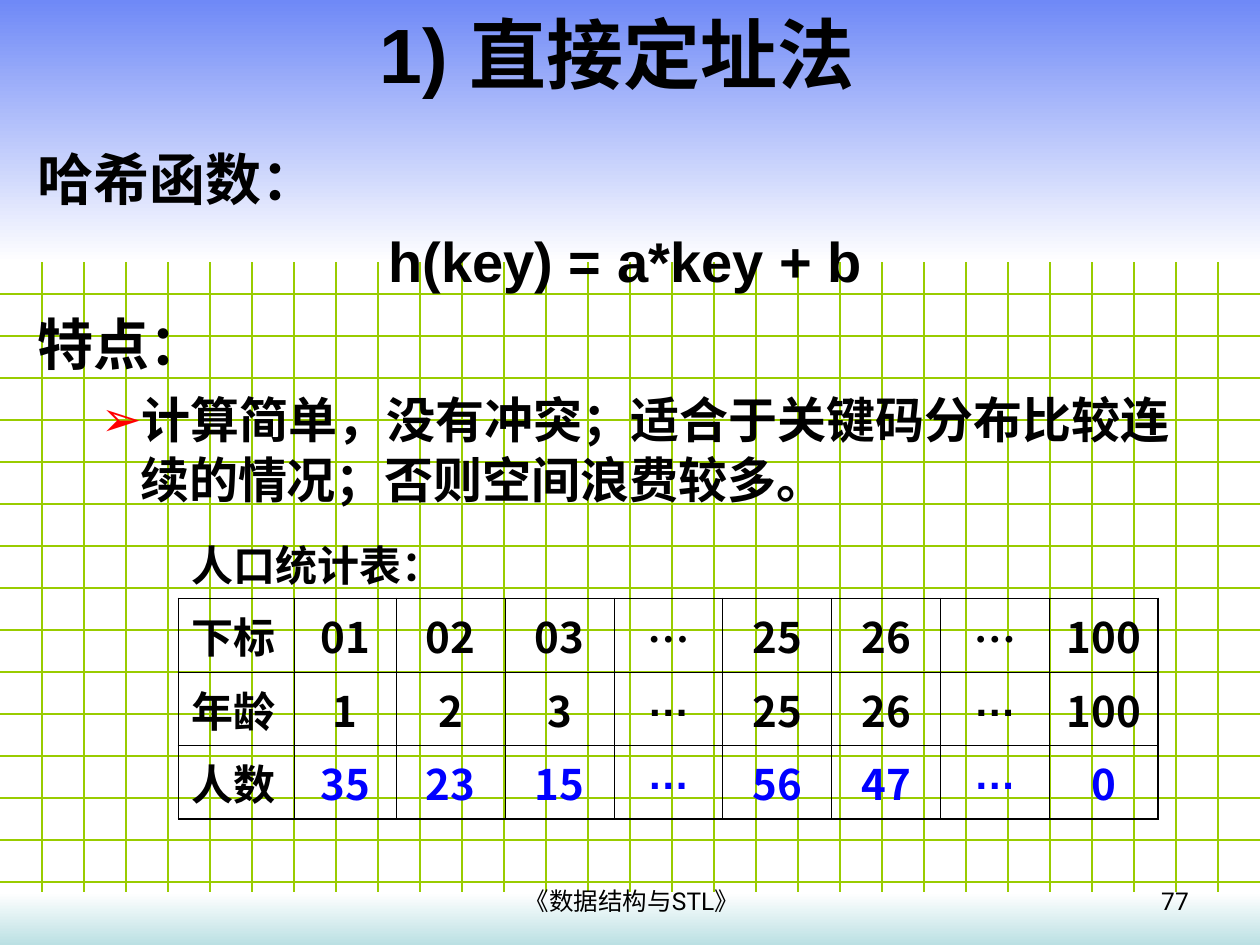
import pptx
import pptx.dml.color
import pptx.enum.shapes
import pptx.enum.text
import pptx.oxml
import pptx.oxml.ns
import pptx.util
from dataclasses import dataclass

Pt = pptx.util.Pt
RGB = pptx.dml.color.RGBColor.from_string
ALIGN = pptx.enum.text.PP_ALIGN
ANCHOR = pptx.enum.text.MSO_ANCHOR
STRAIGHT = pptx.enum.shapes.MSO_CONNECTOR.STRAIGHT


@dataclass(frozen=True)
class Theme:
    ink: str = "000000"
    count: str = "0000FF"
    bullet: str = "FF0000"
    grid: str = "99CC00"
    sky: str = "6F89F7"
    paper: str = "FFFFFF"
    pool: str = "BBE0E3"
    latin: str = "Arial"
    chinese: str = "Noto Sans CJK SC"
    footer: str = "Roboto"
    serif: str = "Times New Roman"
    title_size: int = 44
    heading_size: int = 32
    point_size: int = 28
    table_size: int = 24
    footer_size: int = 14


theme = Theme()


def add_element(parent, xml):
    """Append a drawing element, written without its namespace declaration."""
    name, rest = xml[1:].split(" ", 1)
    namespace = pptx.oxml.ns.nsdecls("a")
    parent.append(pptx.oxml.parse_xml(f"<a:{name} {namespace} {rest}"))


def add_text(paragraph, text, size, font, bold=True, color=theme.ink):
    run = paragraph.add_run()
    run.text = text
    run.font.size = Pt(size)
    run.font.bold = bold
    run.font.color.rgb = RGB(color)
    run.font.name = font
    add_element(run._r.get_or_add_rPr(), f'<ea typeface="{theme.chinese}"/>')


presentation = pptx.Presentation()
presentation.slide_width = Pt(720)
presentation.slide_height = Pt(540)
slide = presentation.slides.add_slide(presentation.slide_layouts[1])
shapes = slide.shapes

# Background grid
step = 24
ends = [(0, y, 720, y) for y in range(step, 540, step)]
ends += [(x, 0, x, 540) for x in range(step, 720, step)]
grid = shapes.add_group_shape()
for points in ends:
    line = grid.shapes.add_connector(STRAIGHT, *[Pt(value) for value in points])
    line.line.color.rgb = RGB(theme.grid)
    line.line.width = Pt(0.75)
    add_element(line._element.spPr, "<effectLst />")

# Gradient bands at top and bottom
for top, height, colors in [(0, 150, (theme.sky, theme.paper)),
                            (510, 30, (theme.paper, theme.pool))]:
    band = shapes.add_shape(pptx.enum.shapes.MSO_SHAPE.RECTANGLE,
                            0, Pt(top), Pt(720), Pt(height))
    band.shadow.inherit = False
    band.line.fill.background()
    band.fill.gradient()
    band.fill.gradient_angle = 270
    for stop, color in zip(band.fill.gradient_stops, colors):
        stop.color.rgb = RGB(color)

# Title and body, placed in front of the background
title, body = shapes.title, slide.placeholders[1]
for placeholder, box, anchor in [(title, (0, 0, 705.6, 60.5), ANCHOR.MIDDLE),
                                 (body, (14.4, 78.5, 686, 418.3), ANCHOR.TOP)]:
    shapes._spTree.append(placeholder._element)
    placeholder.left, placeholder.top, placeholder.width, placeholder.height = map(Pt, box)
    placeholder.text_frame.auto_size = pptx.enum.text.MSO_AUTO_SIZE.NONE
    placeholder.text_frame.word_wrap = True
    placeholder.text_frame.vertical_anchor = anchor

paragraph = title.text_frame.paragraphs[0]
paragraph.alignment = ALIGN.CENTER
add_text(paragraph, "1) 直接定址法", theme.title_size, theme.latin)

body_lines = [
    ("哈希函数：", 0, ALIGN.LEFT),
    ("h(key) = a*key + b", 0, ALIGN.CENTER),
    ("特点：", 0, ALIGN.LEFT),
    ("计算简单，没有冲突；适合于关键码分布比较连续的情况；否则空间浪费较多。", 1, ALIGN.LEFT),
]
# By level: size, line height, space before, left margin, hanging indent
levels = [(theme.heading_size, 39, 8, 27, 27), (theme.point_size, 34.3, 7, 58.5, 22.5)]
for index, (text, level, alignment) in enumerate(body_lines):
    frame = body.text_frame
    paragraph = frame.add_paragraph() if index else frame.paragraphs[0]
    size, line_height, before, margin, hanging = levels[level]
    paragraph.level = level
    paragraph.alignment = alignment
    paragraph.line_spacing = Pt(line_height)
    paragraph.space_before = Pt(before if index else 0)
    properties = paragraph._p.get_or_add_pPr()
    properties.set("marL", str(Pt(margin)))
    properties.set("indent", str(-Pt(hanging)))
    if level:
        add_element(properties, f'<buClr ><a:srgbClr val="{theme.bullet}"/></a:buClr>')
        add_element(properties, '<buChar char="➢"/>')
    else:
        add_element(properties, "<buNone />")
    add_text(paragraph, text, size, theme.latin)

# Population table
rows = [
    ["下标", "01", "02", "03", "…", "25", "26", "…", "100"],
    ["年龄", "1", "2", "3", "…", "25", "26", "…", "100"],
    ["人数", "35", "23", "15", "…", "56", "47", "…", "0"],
]
widths = [66.2, 58.3] + [62.2] * 7
row_height = 42
table = shapes.add_table(len(rows), len(widths), Pt(102), Pt(342), Pt(sum(widths)),
                         Pt(row_height * len(rows))).table
table.first_row = False
table.horz_banding = False
for column, width in zip(table.columns, widths):
    column.width = Pt(width)
for r, values in enumerate(rows):
    table.rows[r].height = Pt(row_height)
    for c, value in enumerate(values):
        cell = table.cell(r, c)
        outer_sides = {"L": c == 0, "R": c == len(widths) - 1,
                       "T": r == 0, "B": r == len(rows) - 1}
        for side, outer in outer_sides.items():
            width = Pt(1.08 if outer else 0.45)
            add_element(cell._tc.get_or_add_tcPr(),
                        f'<ln{side} w="{width}"><a:solidFill><a:srgbClr val="{theme.ink}"/>'
                        f'</a:solidFill></a:ln{side}>')
        cell.fill.background()
        paragraph = cell.text_frame.paragraphs[0]
        paragraph.alignment = ALIGN.CENTER if c else ALIGN.LEFT
        font = theme.chinese
        if value == "…":
            font = theme.latin if r else theme.serif
        add_text(paragraph, value, theme.table_size, font,
                 color=theme.count if r == 2 and c else theme.ink)

# Table caption, footer and page number
labels = [
    ("人口统计表：", (102.2, 304.6, 174, 36), ALIGN.LEFT, theme.table_size, theme.chinese, True),
    ("《数据结构与STL》", (247, 502.6, 228, 26), ALIGN.CENTER, theme.footer_size, theme.footer, False),
    ("77", (518.4, 502.6, 168, 26), ALIGN.RIGHT, theme.footer_size, theme.footer, False),
]
for text, box, alignment, size, font, bold in labels:
    label = shapes.add_textbox(*map(Pt, box))
    label.text_frame.word_wrap = True
    paragraph = label.text_frame.paragraphs[0]
    paragraph.alignment = alignment
    add_text(paragraph, text, size, font, bold)

presentation.save("out.pptx")
